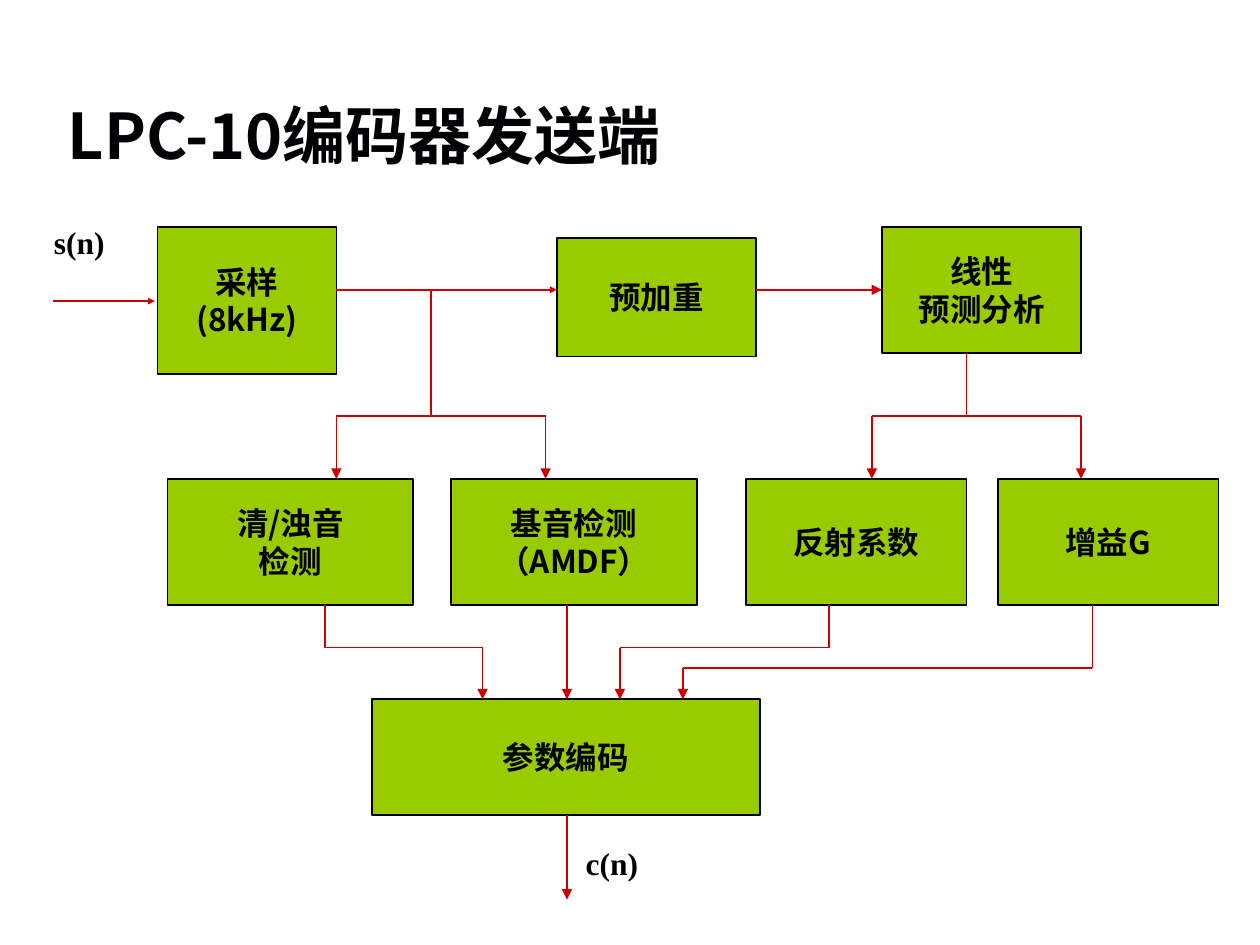
"""Build the LPC-10 encoder transmitter block diagram slide."""
from dataclasses import dataclass
from itertools import pairwise

from lxml.etree import SubElement
from pptx import Presentation
from pptx.dml.color import RGBColor
from pptx.enum.shapes import MSO_CONNECTOR, MSO_SHAPE
from pptx.enum.text import MSO_ANCHOR, PP_ALIGN
from pptx.oxml.ns import qn
from pptx.util import Inches, Pt


@dataclass(frozen=True)
class Theme:
    block: RGBColor = RGBColor(0x99, 0xCC, 0x00)
    ink: RGBColor = RGBColor(0x00, 0x00, 0x00)
    title: RGBColor = RGBColor(0x01, 0x01, 0x03)
    arrow: RGBColor = RGBColor(0xCC, 0x00, 0x00)
    sans: str = "Noto Sans CJK SC"
    serif: str = "Times New Roman"
    body_size: Pt = Pt(18)
    title_size: Pt = Pt(36)
    line_width: Pt = Pt(1)


theme = Theme()


def write(frame, text, font, size, color, align):
    frame.text = text
    for para in frame.paragraphs:
        para.alignment = align
        for span in para.runs:
            span.font.name = font
            span.font.size = size
            span.font.bold = True
            span.font.color.rgb = color
            SubElement(span.font._element, qn("a:ea"), typeface=font)


def draw_line(page, start, end, head):
    line = page.shapes.add_connector(
        MSO_CONNECTOR.STRAIGHT, *(Inches(value) for value in (*start, *end)))
    line.line.color.rgb = theme.arrow
    line.line.width = theme.line_width
    properties = line._element.spPr
    if head:
        SubElement(properties.find(qn("a:ln")), qn("a:tailEnd"),
                   type="triangle", w=head, len=head)
    SubElement(properties, qn("a:effectLst"))


deck = Presentation()
deck.slide_width, deck.slide_height = Inches(10), Inches(7.5)
page = deck.slides.add_slide(deck.slide_layouts[6])

row_top, row_bottom = 3.8, 4.8
split, merge, outer_merge, coder_top = 3.3, 5.14, 5.3, 5.55

blocks = [
    ("采样\n(8kHz)", 1.25, 1.8, 1.42, 1.17),
    ("预加重", 4.42, 1.89, 1.58, 0.94),
    ("线性\n预测分析", 7, 1.8, 1.58, 1),
    ("清/浊音\n检测", 1.33, row_top, 1.95, 1),
    ("基音检测\n（AMDF）", 3.58, row_top, 1.95, 1),
    ("反射系数", 5.92, row_top, 1.75, 1),
    ("增益G", 7.92, row_top, 1.75, 1),
    ("参数编码", 2.95, coder_top, 3.08, 0.92),
]
for text, *bounds in blocks:
    box = page.shapes.add_shape(
        MSO_SHAPE.RECTANGLE, *(Inches(value) for value in bounds))
    box.shadow.inherit = False
    box.fill.solid()
    box.fill.fore_color.rgb = theme.block
    box.line.color.rgb = theme.ink
    box.line.width = theme.line_width
    box.text_frame.word_wrap = False
    box.text_frame.vertical_anchor = MSO_ANCHOR.MIDDLE
    write(box.text_frame, text, theme.sans, theme.body_size, theme.ink,
          PP_ALIGN.CENTER)

routes = [
    ("sm", [(0.42, 2.39), (1.23, 2.39)]),
    ("sm", [(2.67, 2.3), (4.42, 2.3)]),
    ("med", [(6, 2.3), (7, 2.3)]),
    ("med", [(4.5, row_bottom), (4.5, coder_top)]),
    ("med", [(4.5, 6.47), (4.5, 7.14)]),
]
for stem, top, left, right in [(3.42, 2.3, 2.67, 4.33), (7.67, 2.8, 6.92, 8.58)]:
    routes += [
        (None, [(stem, top), (stem, split)]),
        (None, [(left, split), (right, split)]),
        ("med", [(left, split), (left, row_top)]),
        ("med", [(right, split), (right, row_top)]),
    ]
for source, target, level in [
        (2.58, 3.83, merge), (6.58, 4.92, merge), (8.67, 5.42, outer_merge)]:
    routes.append(("med", [(source, row_bottom), (source, level),
                           (target, level), (target, coder_top)]))

for head, points in routes:
    for start, end in pairwise(points):
        draw_line(page, start, end, head if end == points[-1] else None)

labels = [
    ("s(n)", 0.33, 1.72, 1, 0.4, theme.serif, theme.body_size, theme.ink),
    ("c(n)", 4.55, 6.65, 1, 0.4, theme.serif, theme.body_size, theme.ink),
    ("LPC-10编码器发送端", 0.44, 0.72, 5.25, 0.7, theme.sans,
     theme.title_size, theme.title),
]
for text, left, top, width, height, font, size, color in labels:
    box = page.shapes.add_textbox(
        Inches(left), Inches(top), Inches(width), Inches(height))
    box.text_frame.word_wrap = True
    write(box.text_frame, text, font, size, color, PP_ALIGN.LEFT)

deck.save("out.pptx")
